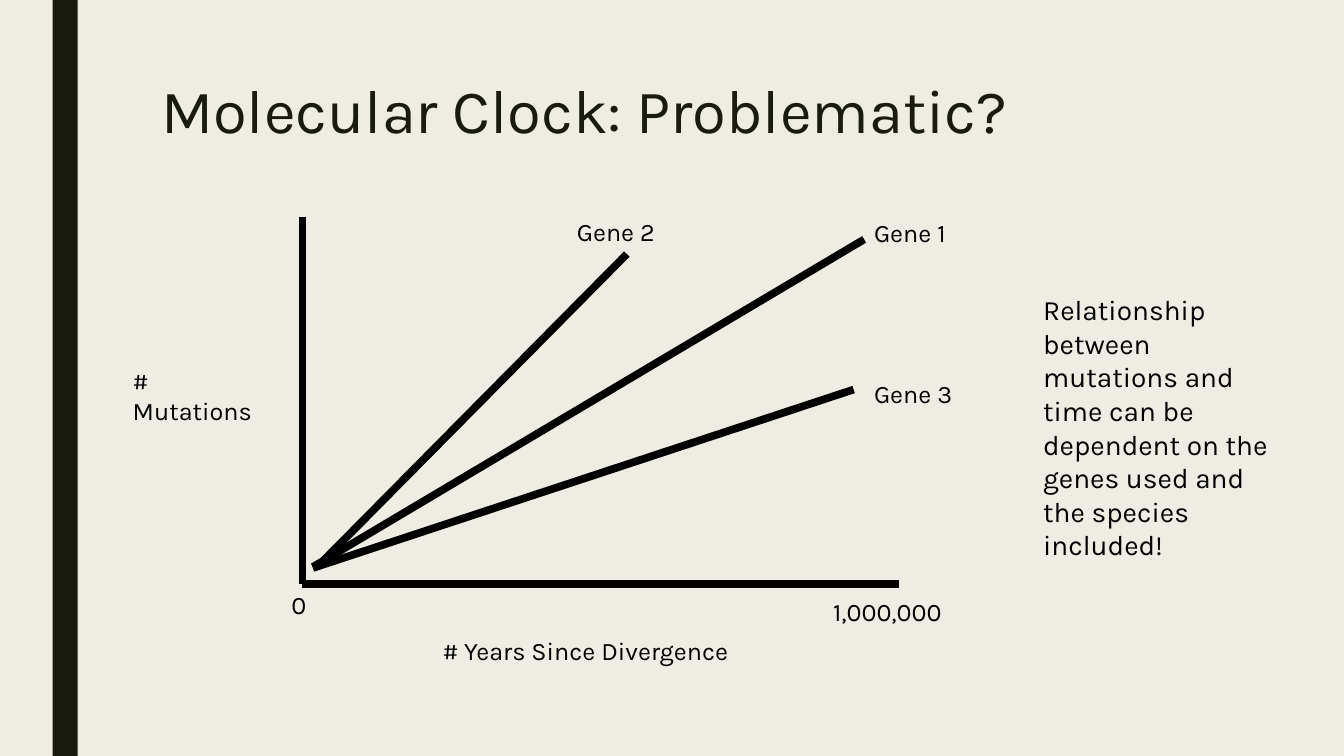
from pptx import Presentation
from pptx.dml.color import RGBColor
from pptx.enum.shapes import MSO_CONNECTOR, MSO_SHAPE
from pptx.enum.text import MSO_ANCHOR, MSO_AUTO_SIZE, PP_ALIGN
from pptx.oxml.ns import qn
from pptx.util import Pt
from lxml.etree import SubElement

COLORS = {"background": "EFEDE3", "band": "191B0E", "ink": "000000"}
FONT = "Karla"
SCALE = 9525
WIDTH, HEIGHT = 1280, 720


def px(*lengths):
    return [length * SCALE for length in lengths]


def color(name):
    return RGBColor.from_string(COLORS[name])


class SlideBuilder:
    def __init__(self, slide):
        self.slide = slide
        self.line_width = Pt(5.5)

    def background(self, fill):
        self.slide.background.fill.solid()
        self.slide.background.fill.fore_color.rgb = color(fill)

    def rectangle(self, left, top, width, height, fill):
        shape = self.slide.shapes.add_shape(
            MSO_SHAPE.RECTANGLE, *px(left, top, width, height))
        shape.shadow.inherit = False
        shape.fill.solid()
        shape.fill.fore_color.rgb = color(fill)
        shape.line.fill.background()

    def line(self, start, end):
        connector = self.slide.shapes.add_connector(
            MSO_CONNECTOR.STRAIGHT, *px(*start, *end))
        connector.line.color.rgb = color("ink")
        connector.line.width = self.line_width
        SubElement(connector._element.spPr, qn("a:effectLst"))

    def text(self, words, left, top, width=144, height=38, size=18,
             ink="ink", spacing=1.0, fit=MSO_AUTO_SIZE.SHAPE_TO_FIT_TEXT):
        box = self.slide.shapes.add_textbox(*px(left, top, width, height))
        frame = box.text_frame
        para = frame.paragraphs[0]
        span = para.add_run()
        span.text = words
        span.font.color.rgb = color(ink)
        formats = {
            frame: {"word_wrap": True, "auto_size": fit,
                    "vertical_anchor": MSO_ANCHOR.TOP},
            para: {"alignment": PP_ALIGN.LEFT, "line_spacing": spacing},
            span.font: {"name": FONT, "size": Pt(size)},
        }
        for target, values in formats.items():
            for name, value in values.items():
                setattr(target, name, value)


def main():
    deck = Presentation()
    deck.slide_width, deck.slide_height = px(WIDTH, HEIGHT)
    page = SlideBuilder(deck.slides.add_slide(deck.slide_layouts[6]))

    page.background("background")
    page.rectangle(50, 0, 24, HEIGHT, "band")
    page.text("Molecular Clock: Problematic?", 144, 72, 1008, 156, size=44,
              ink="band", spacing=0.89, fit=MSO_AUTO_SIZE.NONE)

    origin = (288, 556)
    for axis_end in [(288, 207), (856, 556)]:
        page.line(axis_end, origin)

    genes = [
        ("Gene 1", (823, 202), (823, 228), (298, 540)),
        ("Gene 3", (823, 356), (813, 371), (298, 541)),
        ("Gene 2", (540, 201), (597, 242), (302, 540)),
    ]
    for name, label_corner, end, start in genes:
        page.line(end, start)
        page.text(name, *label_corner)

    page.text("# Mutations", 117, 343)
    page.text("# Years Since Divergence", 412, 600, width=298)
    page.text("0", 268, 557)
    page.text("1,000,000", 784, 563)
    page.text("Relationship between mutations and time can be dependent on "
              "the genes used and the species included!",
              984, 274, 243, 204, size=20)

    deck.save("out.pptx")


if __name__ == "__main__":
    main()
